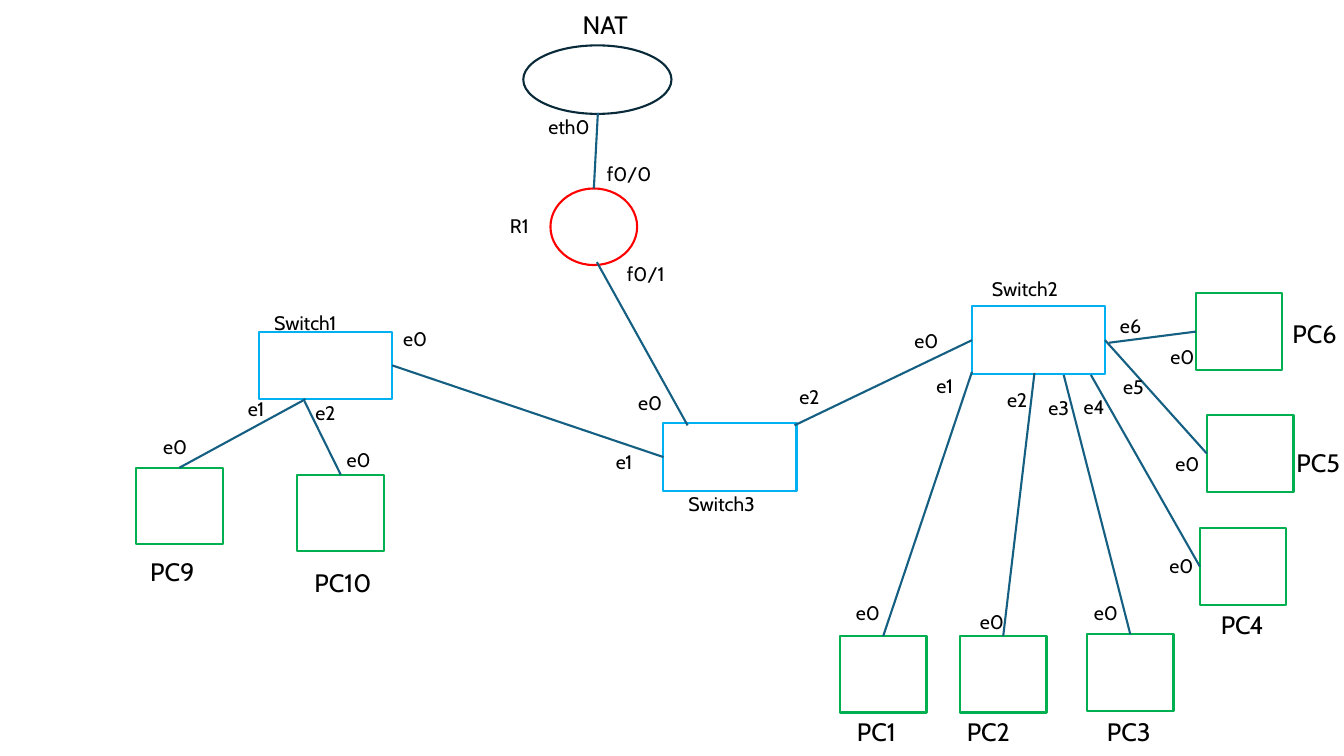
from dataclasses import dataclass

from lxml import etree
from pptx import Presentation
from pptx import util as u
from pptx.dml.color import RGBColor
from pptx.enum import shapes, text
from pptx.oxml.ns import qn

CELL = u.Inches(0.1)
COLUMNS, ROWS = 133.3, 75
TOP, LEFT, BOTTOM, RIGHT = range(4)

SWITCH_SIZE = (13.2, 6.7)
COMPUTER_SIZE = ROUTER_SIZE = (8.6, 7.6)
CLOUD_SIZE = (14.7, 6.8)


@dataclass(frozen=True)
class Theme:
    font: str = "Cabin"
    ink: str = "000000"
    cloud: str = "092A39"
    router: str = "FF0000"
    switch: str = "00B0F0"
    computer: str = "00B050"
    link: str = "156082"
    name_size: int = 18
    label_size: int = 14
    line_width: float = 1.5


@dataclass(frozen=True)
class Box:
    column: float
    row: float
    columns: float = 0
    rows: float = 0

    def inner(self, offset, size=(0, 0)):
        return Box(self.column + offset[0], self.row + offset[1], *size)

    def lengths(self):
        return [round(value * CELL) for value in (self.column, self.row, self.columns, self.rows)]


@dataclass(frozen=True)
class Computer:
    name: str
    place: tuple
    name_place: tuple
    port_place: tuple
    side: int
    uplink: str
    uplink_place: tuple
    start: object


THEME = Theme()

LEFT_COMPUTERS = [
    Computer("PC9", (-12.2, 13.5), (0.4, 8.3), (1.7, -3.7), TOP, "e1", (-2.1, 6), (4.6, 6.7)),
    Computer("PC10", (3.8, 14.2), (0.7, 8.7), (3.9, -3.2), TOP, "e2", (4.6, 6.4), (4.5, 6.9)),
]
RIGHT_COMPUTERS = [
    Computer("PC1", (-13.1, 32.7), (0.7, 7.5), (0.6, -4), TOP, "e1", (-4.5, 6.2), (0, 6.5)),
    Computer("PC2", (-1.2, 32.7), (-0.3, 7.5), (1, -3.1), TOP, "e2", (2.5, 7.6), (6.2, 6.6)),
    Computer("PC3", (11.4, 32.5), (1, 7.7), (-0.3, -3.8), TOP, "e3", (6.6, 8.4), (9.1, 6.8)),
    Computer("PC4", (22.6, 22), (1.1, 7.6), (-4, 2.1), LEFT, "e4", (10.1, 8.3), (11.8, 6.8)),
    Computer("PC5", (23.3, 10.8), (7.9, 2.7), (-4.1, 3.1), LEFT, "e5", (14, 6.3), RIGHT),
    Computer("PC6", (22.2, -1.3), (8.6, 2), (-3.5, 4.6), LEFT, "e6", (13.7, 0.3), (13.6, 3.6)),
]


def add_label(slide, box, offset, words, columns=5, rows=3.4, size=THEME.label_size):
    shape = slide.shapes.add_textbox(*box.inner(offset, (columns, rows)).lengths())
    frame = shape.text_frame
    frame.word_wrap = True
    frame.auto_size = text.MSO_AUTO_SIZE.SHAPE_TO_FIT_TEXT
    paragraph = frame.paragraphs[0]
    run = paragraph.add_run()
    run.text = words
    run.font.name = THEME.font
    run.font.size = u.Pt(size)
    run.font.color.rgb = RGBColor.from_string(THEME.ink)


def add_outline(slide, box, color, kind=shapes.MSO_SHAPE.RECTANGLE):
    shape = slide.shapes.add_shape(kind, *box.lengths())
    shape.shadow.inherit = False
    shape.fill.background()
    shape.line.color.rgb = RGBColor.from_string(color)
    shape.line.width = u.Pt(THEME.line_width)
    return shape


def add_link(slide, box, start, end):
    points = [box.inner(point).lengths()[:2] if isinstance(point, tuple) and isinstance(point[1], (int, float))
              and not hasattr(point[0], "shape_id") else (0, 0) for point in (start, end)]
    connector = slide.shapes.add_connector(shapes.MSO_CONNECTOR.STRAIGHT, *points[0], *points[1])
    for point, join in ((start, connector.begin_connect), (end, connector.end_connect)):
        if hasattr(point[0], "shape_id"):
            join(*point)
    connector.line.color.rgb = RGBColor.from_string(THEME.link)
    connector.line.width = u.Pt(THEME.line_width)
    etree.SubElement(connector._element.spPr, qn("a:effectLst"))


def draw_core(slide, box):
    add_outline(slide, box.inner((0, 0), CLOUD_SIZE), THEME.cloud, shapes.MSO_SHAPE.OVAL)
    add_outline(slide, box.inner((2.7, 14.2), ROUTER_SIZE), THEME.router,
                shapes.MSO_SHAPE.FLOWCHART_CONNECTOR)
    switch = add_outline(slide, box.inner((13.9, 37.5), SWITCH_SIZE), THEME.switch)
    add_link(slide, box, (7.4, 6.7), (7, 14.2))
    add_link(slide, box, (7.3, 21.5), (16.3, 37.7))
    add_label(slide, box, (4.9, -4.1), "NAT", columns=9, rows=4, size=THEME.name_size)
    add_label(slide, box, (-2.3, 16.2), "R1", columns=9)
    add_label(slide, box, (15.4, 43.8), "Switch3", columns=12.2)
    for words, offset in (("eth0", (1.5, 6.4)), ("f0/0", (7.3, 11.1)), ("f0/1", (9.3, 21))):
        add_label(slide, box, offset, words, columns=6.8)
    add_label(slide, box, (10.4, 33.8), "e0")
    return switch


def draw_branch(slide, box, name, name_place, computers):
    switch = add_outline(slide, box.inner((0, 0), SWITCH_SIZE), THEME.switch)
    add_label(slide, box, name_place, name, columns=12.2)
    for computer in computers:
        place = box.inner(computer.place, COMPUTER_SIZE)
        shape = add_outline(slide, place, THEME.computer)
        start = computer.start if isinstance(computer.start, tuple) else (switch, computer.start)
        add_link(slide, box, start, (shape, computer.side))
        add_label(slide, place, computer.name_place, computer.name,
                  columns=7.9, rows=4, size=THEME.name_size)
        add_label(slide, place, computer.port_place, "e0")
        add_label(slide, box, computer.uplink_place, computer.uplink)
    return switch


def draw_trunks(slide, box, core_switch, left_switch, right_switch):
    add_link(slide, box, (core_switch, LEFT), (left_switch, RIGHT))
    add_link(slide, box, (right_switch, LEFT), (13, 0.2))
    for words, offset in (("e1", (-5.7, 2.1)), ("e2", (12.5, -4.3)),
                          ("e0", (-26.8, -10.1)), ("e0", (23.9, -9.9))):
        add_label(slide, box, offset, words)


def main():
    presentation = Presentation()
    presentation.slide_width = round(COLUMNS * CELL)
    presentation.slide_height = ROWS * CELL
    slide = presentation.slides.add_slide(presentation.slide_layouts[6])
    core_switch = draw_core(slide, Box(51.9, 4.5))
    left_switch = draw_branch(slide, Box(25.7, 32.9), "Switch1", (0.5, -2.5), LEFT_COMPUTERS)
    right_switch = draw_branch(slide, Box(96.4, 30.4), "Switch2", (1, -3.4), RIGHT_COMPUTERS)
    draw_trunks(slide, Box(65.8, 42), core_switch, left_switch, right_switch)
    presentation.save("out.pptx")


if __name__ == "__main__":
    main()
